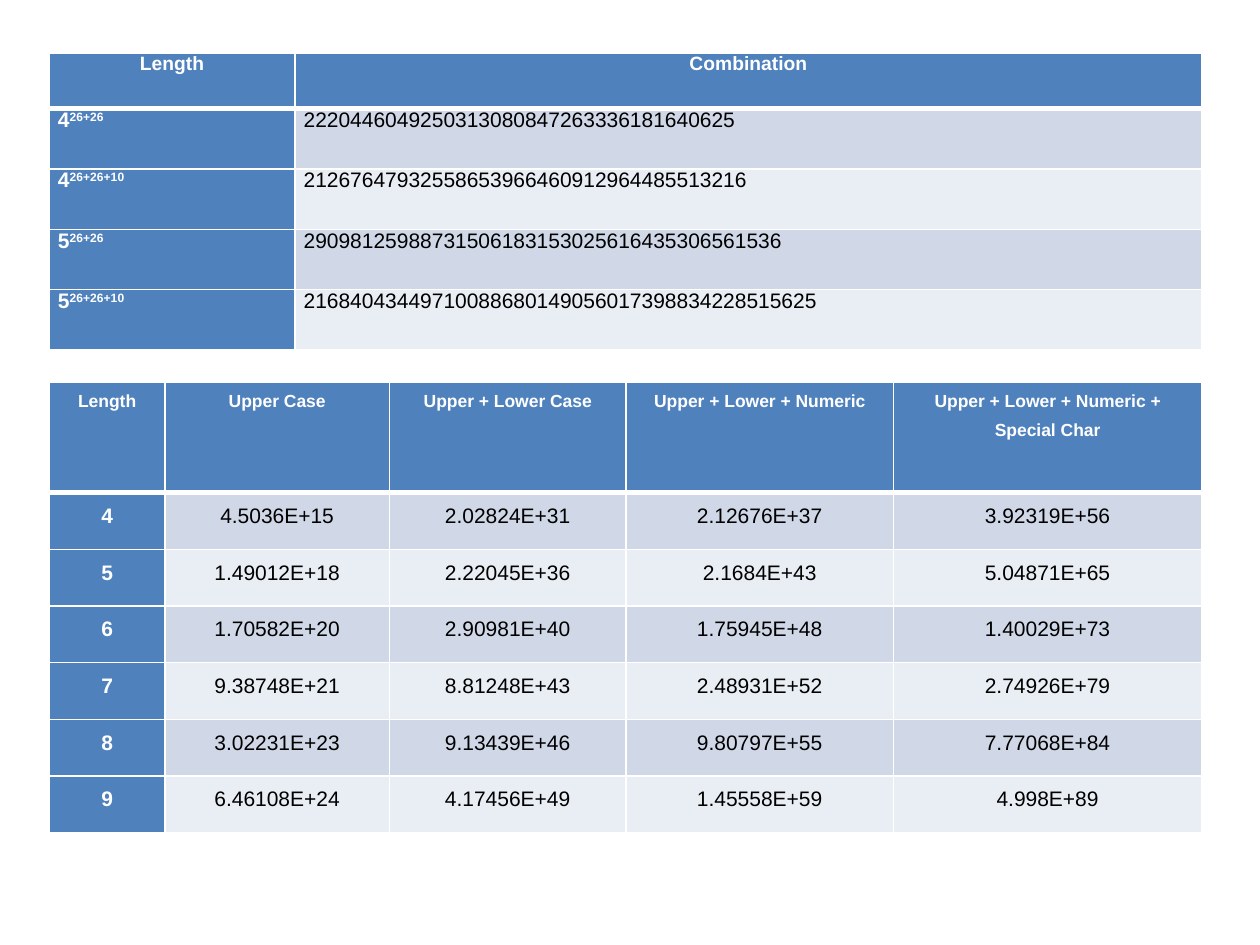
"""Build a slide with two tables of password combinations by length."""
from lxml.etree import SubElement
from pptx import Presentation
from pptx.dml.color import RGBColor as RGB
from pptx.enum.text import PP_ALIGN as Align
from pptx.oxml.ns import qn
from pptx.util import Inches, Pt

COLORS = {"head": "4F81BD", "odd": "D0D8E8", "even": "E9EDF4",
          "line": "FFFFFF", "light": "FFFFFF", "dark": "000000"}
LEFT, WIDTH = 0.39, 9.15

TABLES = [
    {"top": 0.42, "columns": [1.95, 7.2], "head_height": 0.44, "row_height": 0.48,
     "head_size": 11, "spacing": None, "body_align": Align.LEFT,
     "rows": [
         ["Length", "Combination"],
         ["4^26+26", "2220446049250313080847263336181640625"],
         ["4^26+26+10", "21267647932558653966460912964485513216"],
         ["5^26+26", "29098125988731506183153025616435306561536"],
         ["5^26+26+10", "21684043449710088680149056017398834228515625"]]},
    {"top": 3.03, "columns": [0.92, 1.78, 1.88, 2.12, 2.45], "head_height": 0.88,
     "row_height": 0.45, "head_size": 10, "spacing": 1.5, "body_align": Align.CENTER,
     "rows": [
         ["Length", "Upper Case", "Upper + Lower Case", "Upper + Lower + Numeric",
          "Upper + Lower + Numeric + Special Char"],
         ["4", "4.5036E+15", "2.02824E+31", "2.12676E+37", "3.92319E+56"],
         ["5", "1.49012E+18", "2.22045E+36", "2.1684E+43", "5.04871E+65"],
         ["6", "1.70582E+20", "2.90981E+40", "1.75945E+48", "1.40029E+73"],
         ["7", "9.38748E+21", "8.81248E+43", "2.48931E+52", "2.74926E+79"],
         ["8", "3.02231E+23", "9.13439E+46", "9.80797E+55", "7.77068E+84"],
         ["9", "6.46108E+24", "4.17456E+49", "1.45558E+59", "4.998E+89"]]},
]


def style_cell(cell, fill, top, bottom):
    properties = cell._tc.get_or_add_tcPr()
    for side, width in (("lnL", 1), ("lnR", 1), ("lnT", top), ("lnB", bottom)):
        line = SubElement(properties, qn(f"a:{side}"), w=str(Pt(width)))
        solid = SubElement(line, qn("a:solidFill"))
        SubElement(solid, qn("a:srgbClr"), val=COLORS["line"])
    cell.fill.solid()
    cell.fill.fore_color.rgb = RGB.from_string(COLORS[fill])
    cell.margin_left = cell.margin_right = Inches(0.07)
    cell.margin_top = cell.margin_bottom = 0


def write_cell(cell, text, size, color, bold, align, spacing):
    para = cell.text_frame.paragraphs[0]
    para.alignment = align
    if spacing:
        para.line_spacing = spacing
    base, _, power = text.partition("^")
    para.add_run().text = base
    if power:
        span = para.add_run()
        span.text = power
        span._r.get_or_add_rPr().set("baseline", "30000")
    para.font.name, para.font.size, para.font.bold = "Arial", Pt(size), bold
    para.font.color.rgb = RGB.from_string(COLORS[color])
    for span in para.runs:
        span.font.name, span.font.size, span.font.bold = "Arial", Pt(size), bold
        span.font.color.rgb = RGB.from_string(COLORS[color])


deck = Presentation()
deck.slide_width, deck.slide_height = Inches(10), Inches(7.5)
page = deck.slides.add_slide(deck.slide_layouts[6])

for layout in TABLES:
    rows, columns = layout["rows"], layout["columns"]
    heights = [layout["head_height"]] + [layout["row_height"]] * (len(rows) - 1)
    table = page.shapes.add_table(
        len(rows), len(columns), Inches(LEFT), Inches(layout["top"]),
        Inches(WIDTH), Inches(sum(heights))).table
    for column, width in zip(table.columns, columns):
        column.width = Inches(width)
    for row, height in zip(table.rows, heights):
        row.height = Inches(height)

    for row_index, row in enumerate(rows):
        for column_index, text in enumerate(row):
            cell = table.cell(row_index, column_index)
            is_head = row_index == 0
            is_label = is_head or column_index == 0
            band = "odd" if row_index % 2 else "even"
            style_cell(cell, "head" if is_label else band,
                       3 if row_index == 1 else 1, 3 if is_head else 1)
            write_cell(cell, text, layout["head_size"] if is_head else 12,
                       "light" if is_label else "dark", is_label,
                       Align.CENTER if is_head else layout["body_align"],
                       layout["spacing"])

deck.save("out.pptx")
